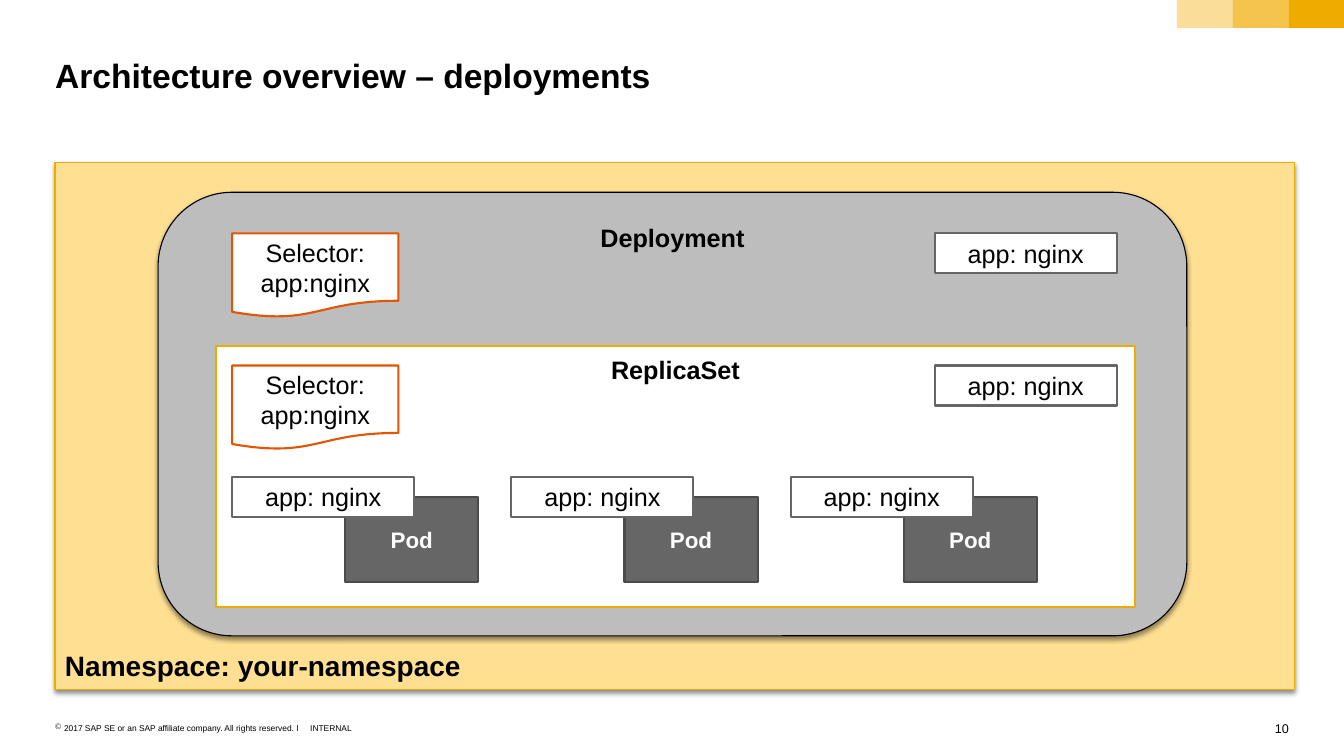
from lxml import etree
from pptx import Presentation
from pptx.dml.color import RGBColor
from pptx.enum.shapes import MSO_SHAPE
from pptx.enum.text import MSO_ANCHOR, MSO_AUTO_SIZE, PP_ALIGN
from pptx.oxml.ns import qn
from pptx.util import Pt

RECT, ROUND, DOCUMENT = MSO_SHAPE.RECTANGLE, MSO_SHAPE.ROUNDED_RECTANGLE, MSO_SHAPE.FLOWCHART_DOCUMENT
TOP, MIDDLE, BOTTOM = MSO_ANCHOR.TOP, MSO_ANCHOR.MIDDLE, MSO_ANCHOR.BOTTOM
LEFT, CENTER, RIGHT = PP_ALIGN.LEFT, PP_ALIGN.CENTER, PP_ALIGN.RIGHT
NO_AUTOFIT = MSO_AUTO_SIZE.NONE

# Content
TITLE = "Architecture overview – deployments"
NAMESPACE = "Namespace: your-namespace"
DEPLOYMENT, REPLICA_SET = "Deployment", "ReplicaSet"
SELECTOR, APP_LABEL = "Selector: app:nginx", "app: nginx"
PODS = ["Pod", "Pod", "Pod"]
COPYRIGHT = "2017 SAP SE or an SAP affiliate company. All rights reserved. ǀ"
CLASSIFICATION, PAGE = "INTERNAL", "10"

# Look and layout, in px
PX = 9080  # EMU
BLACK, WHITE, GOLD, GRAY = "000000", "FFFFFF", "F0AB00", "666666"
SWATCH_ALPHAS = [40, 70, 100]
SWATCH_LEFT, SWATCH_W, SWATCH_H = 1176, 56, 28
SELECTOR_LEFT, LABEL_RIGHT_COLUMN = 232, 934
LABEL_W, LABEL_H = 182, 40
HEADER_TOPS = [233, 365]  # Deployment, ReplicaSet
POD_LABEL_TOP, POD_PITCH = 476, 279
POD_OFFSET_X, POD_OFFSET_Y = 113, 20


def color(hex_code):
    return RGBColor.from_string(hex_code)


def write(shape, text, size, ink=BLACK, bold=False, align=CENTER, anchor=MIDDLE, inset=(10, 8)):
    frame = shape.text_frame
    frame.auto_size = NO_AUTOFIT
    frame.word_wrap = True
    frame.vertical_anchor = anchor
    frame.margin_left = frame.margin_right = inset[0] * PX
    frame.margin_top = frame.margin_bottom = inset[1] * PX
    paragraph = frame.paragraphs[0]
    paragraph.text = text
    paragraph.alignment = align
    font = paragraph.font
    font.name, font.size, font.bold = "Arial", Pt(size), bold
    font.color.rgb = color(ink)
    return paragraph


def add_block(kind, box, fill, line=None, line_width=1.5):
    shape = slide.shapes.add_shape(kind, *(v * PX for v in box))
    shape.shadow.inherit = False
    shape.fill.solid()
    shape.fill.fore_color.rgb = color(fill)
    if line:
        shape.line.color.rgb = color(line)
        shape.line.width = Pt(line_width)
    else:
        shape.line.fill.background()
    return shape


def add_alpha(color_element, percent):
    etree.SubElement(color_element, qn("a:alpha"), val=str(percent * 1000))


def drop_shadow(shape):
    effects = shape._element.spPr.find(qn("a:effectLst"))
    shadow = etree.SubElement(effects, qn("a:outerShdw"), blurRad=str(Pt(3)), dist=str(Pt(2.4)),
                              dir="5400000", rotWithShape="0")
    add_alpha(etree.SubElement(shadow, qn("a:srgbClr"), val=BLACK), 45)


def add_label(left, top):
    write(add_block(RECT, (left, top, LABEL_W, LABEL_H), WHITE, GRAY), APP_LABEL, 18)


def add_note(box, text, size, align=LEFT):
    note = slide.shapes.add_textbox(*(v * PX for v in box))
    return write(note, text, size, align=align, anchor=TOP, inset=(0, 0))


prs = Presentation()
prs.slide_width, prs.slide_height = 1343 * PX, 755 * PX
slide = prs.slides.add_slide(prs.slide_layouts[5])

# Title
title = slide.shapes.title
title.left, title.top, title.width, title.height = (v * PX for v in (55, 55, 1232, 40))
write(title, TITLE, 24, bold=True, align=LEFT, anchor=TOP, inset=(0, 0))

# Corner swatches
for i, alpha in enumerate(SWATCH_ALPHAS):
    swatch = add_block(RECT, (SWATCH_LEFT + i * SWATCH_W, 0, SWATCH_W, SWATCH_H), GOLD)
    add_alpha(swatch._element.spPr.find(qn("a:solidFill"))[0], alpha)

# Nested containers
namespace = add_block(RECT, (55, 162, 1239, 527), "FFE093", GOLD, 0.79)
drop_shadow(namespace)
write(namespace, NAMESPACE, 20, bold=True, align=LEFT, anchor=BOTTOM)
deployment = add_block(ROUND, (158, 192, 1028, 443), "BDBDBD", BLACK, 0.79)
drop_shadow(deployment)
write(deployment, DEPLOYMENT, 18, bold=True, anchor=TOP)
replica_set = add_block(RECT, (216, 346, 918, 260), WHITE, GOLD)
write(replica_set, REPLICA_SET, 18, bold=True, anchor=TOP)

# Selector and label of each container
for top in HEADER_TOPS:
    selector = add_block(DOCUMENT, (SELECTOR_LEFT, top, 166, 84), WHITE, "E35500")
    write(selector, SELECTOR, 18)
    add_label(LABEL_RIGHT_COLUMN, top)

# Pods with their labels
for i, pod_name in enumerate(PODS):
    left = SELECTOR_LEFT + i * POD_PITCH
    pod = add_block(RECT, (left + POD_OFFSET_X, POD_LABEL_TOP + POD_OFFSET_Y, 133, 85), GRAY, "4B4B4B")
    write(pod, pod_name, 16, WHITE, bold=True)
    add_label(left, POD_LABEL_TOP)

# Footer
copyright_line = add_note((55, 722, 250, 12), COPYRIGHT, 6)
bullet_props = copyright_line._p.get_or_add_pPr()
bullet_props.set("marL", str(9 * PX))
bullet_props.set("indent", str(-9 * PX))
bullet_props.insert(0, etree.Element(qn("a:buChar"), char="©"))
add_note((310, 722, 60, 12), CLASSIFICATION, 6)
add_note((1248, 720, 40, 16), PAGE, 9, RIGHT)

prs.save("out.pptx")
